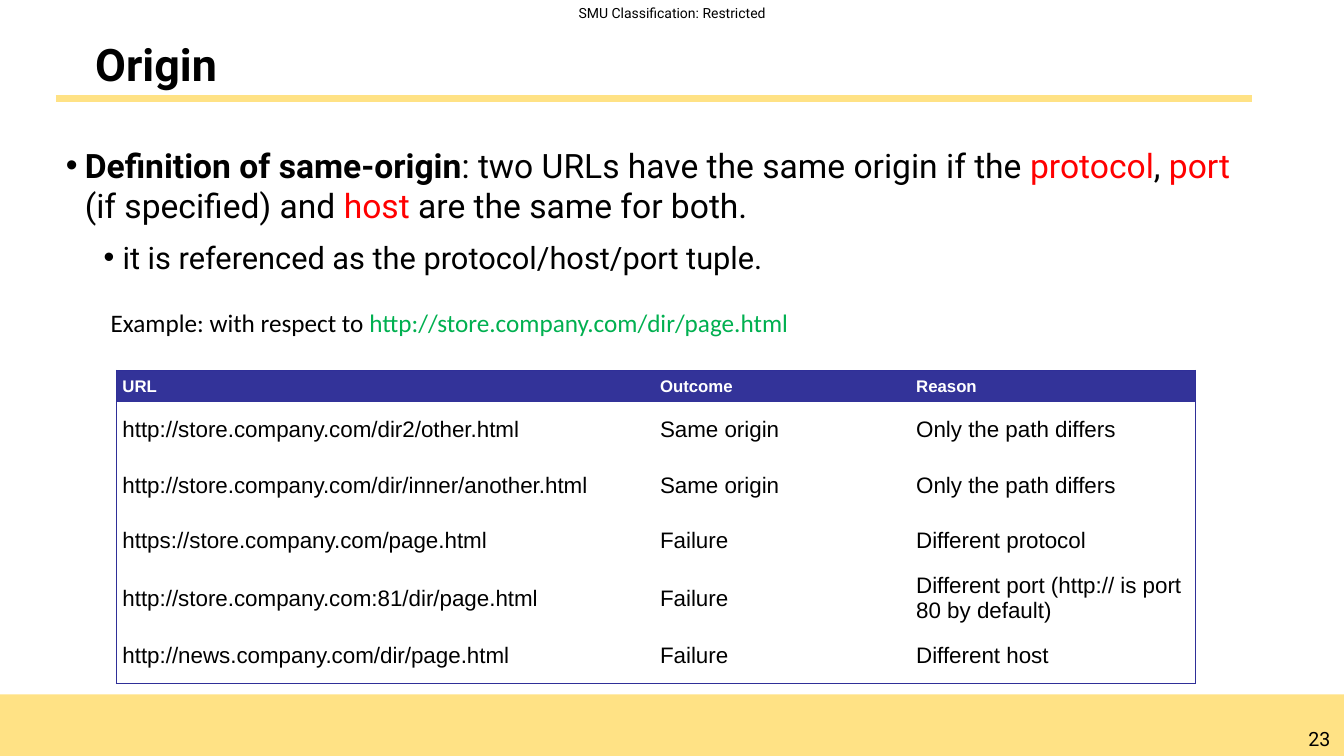
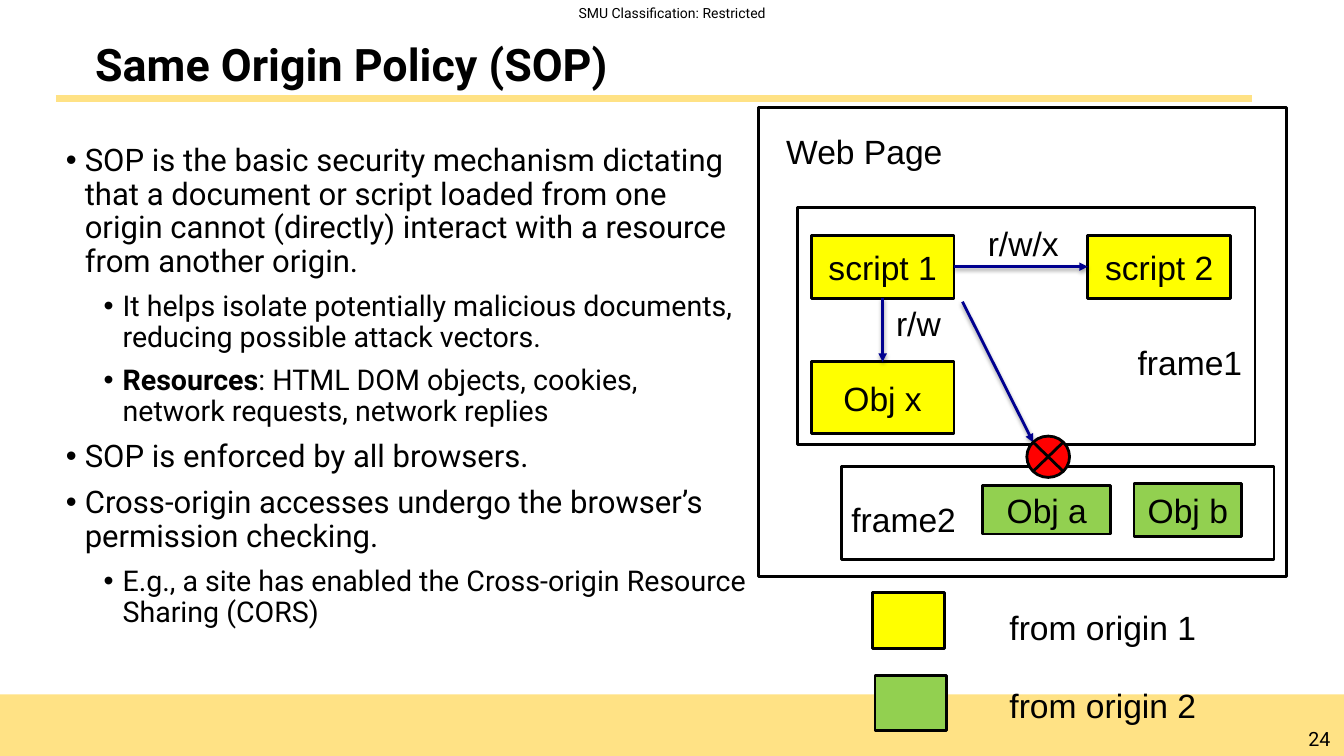
from dataclasses import dataclass

from lxml.etree import SubElement
from pptx import Presentation
from pptx.dml.color import RGBColor
from pptx.enum.shapes import MSO_CONNECTOR, MSO_SHAPE
from pptx.enum.text import MSO_ANCHOR, PP_ALIGN
from pptx.oxml.ns import qn
from pptx.shapes.autoshape import Shape
from pptx.shapes.connector import Connector
from pptx.slide import Slide
from pptx.table import _Cell
from pptx.text.text import TextFrame, _Paragraph
from pptx.util import Pt

COLORS = {
    "band": "FFE285",
    "text": "000000",
    "white": "FFFFFF",
    "emphasis": "FF0000",
    "address": "00B050",
    "table_head": "333399",
    "table_edge": "2F2F98",
    "origin1": "FFFF00",
    "origin2": "92D050",
    "arrow": "000090",
}
HEADING_FONT = "Roboto"
TABLE_FONT = "Arial"
DIAGRAM_FONT = "Arial"
EXAMPLE_FONT = "Calibri"
CONTENT_LEFT, CONTENT_WIDTH = 40, 854
BODY_TOP, BODY_HEIGHT = 100, 372


@dataclass(frozen=True)
class Box:
    left: float
    top: float
    width: float
    height: float


@dataclass(frozen=True)
class Span:
    text: str
    color: str = "text"
    bold: bool = False


@dataclass(frozen=True)
class Bullet:
    spans: tuple[Span, ...]
    level: int = 0


@dataclass(frozen=True)
class Block:
    box: Box
    fill: str | None = None
    text: str = ""
    preset: MSO_SHAPE = MSO_SHAPE.RECTANGLE


@dataclass(frozen=True)
class Label:
    box: Box
    text: str


@dataclass(frozen=True)
class Arrow:
    start: tuple[float, float]
    end: tuple[float, float]


def rgb(name: str) -> RGBColor:
    return RGBColor.from_string(COLORS[name])


def place(box: Box) -> tuple[Pt, Pt, Pt, Pt]:
    return Pt(box.left), Pt(box.top), Pt(box.width), Pt(box.height)


def add_run(paragraph: _Paragraph, span: Span, size: float, font: str) -> None:
    run = paragraph.add_run()
    run.text = span.text
    run.font.size = Pt(size)
    run.font.name = font
    run.font.bold = span.bold
    run.font.color.rgb = rgb(span.color)


def add_text(slide: Slide, box: Box, spans: tuple[Span, ...], size: float, font: str,
             align: PP_ALIGN = PP_ALIGN.LEFT, wrap: bool = True) -> TextFrame:
    frame = slide.shapes.add_textbox(*place(box)).text_frame
    frame.word_wrap = wrap
    frame.paragraphs[0].alignment = align
    for span in spans:
        add_run(frame.paragraphs[0], span, size, font)
    return frame


def add_block(slide: Slide, block: Block, outline: str | None = "text") -> Shape:
    shape = slide.shapes.add_shape(block.preset, *place(block.box))
    shape.shadow.inherit = False
    if block.fill:
        shape.fill.solid()
        shape.fill.fore_color.rgb = rgb(block.fill)
    else:
        shape.fill.background()
    if outline:
        shape.line.color.rgb = rgb(outline)
        shape.line.width = Pt(2)
    else:
        shape.line.fill.background()
    if block.text:
        frame = shape.text_frame
        frame.word_wrap = True
        frame.vertical_anchor = MSO_ANCHOR.MIDDLE
        frame.paragraphs[0].alignment = PP_ALIGN.CENTER
        add_run(frame.paragraphs[0], Span(block.text), 24, DIAGRAM_FONT)
    return shape


def add_line(slide: Slide, start: tuple[float, float], end: tuple[float, float],
             color: str, width: float) -> Connector:
    line = slide.shapes.add_connector(
        MSO_CONNECTOR.STRAIGHT, *(Pt(value) for value in start + end))
    line.line.color.rgb = rgb(color)
    line.line.width = Pt(width)
    SubElement(line._element.spPr, qn("a:effectLst"))
    return line


def add_arrow(slide: Slide, arrow: Arrow) -> None:
    """Draw a line with a triangle at its end and a soft shadow below it."""
    properties = add_line(slide, arrow.start, arrow.end, "arrow", 2)._element.spPr
    SubElement(properties.find(qn("a:ln")), qn("a:tailEnd"), type="triangle")
    shadow = SubElement(properties.find(qn("a:effectLst")), qn("a:outerShdw"),
                        blurRad=str(Pt(3.1)), dist=str(Pt(1.6)),
                        dir="5400000", rotWithShape="0")
    tint = SubElement(shadow, qn("a:srgbClr"), val=COLORS["text"])
    SubElement(tint, qn("a:alpha"), val="38000")


def add_bullets(slide: Slide, width: float, bullets: tuple[Bullet, ...],
                sizes: tuple[float, float], line_spacing: float) -> None:
    box = Box(CONTENT_LEFT, BODY_TOP, width, BODY_HEIGHT)
    frame = slide.shapes.add_textbox(*place(box)).text_frame
    frame.word_wrap = True
    for index, bullet in enumerate(bullets):
        paragraph = frame.add_paragraph() if index else frame.paragraphs[0]
        paragraph.level = bullet.level
        properties = paragraph._p.get_or_add_pPr()
        properties.set("marL", str(Pt(13.5 + 27 * bullet.level)))
        properties.set("indent", str(-Pt(13.5)))
        SubElement(properties, qn("a:buFont"), typeface="Arial")
        SubElement(properties, qn("a:buChar"), char="•")
        paragraph.line_spacing = line_spacing
        paragraph.space_before = Pt(4.5 if index else 0)
        paragraph.space_after = Pt(4.5)
        for span in bullet.spans:
            add_run(paragraph, span, sizes[bullet.level], HEADING_FONT)


def start_slide(deck: Presentation, title: str, number: int) -> Slide:
    """Add a slide with the shared band, classification, number and title."""
    slide = deck.slides.add_slide(deck.slide_layouts[6])
    add_block(slide, Block(Box(0, 496, 960, 44), "band"), outline=None)
    add_text(slide, Box(373, 0, 214, 19.5), (Span("SMU Classification: Restricted"),),
             10, HEADING_FONT, PP_ALIGN.CENTER)
    add_text(slide, Box(925, 515.5, 35, 24.5), (Span(str(number)),),
             14, HEADING_FONT, PP_ALIGN.CENTER)
    rule_y = 70.5
    add_line(slide, (CONTENT_LEFT, rule_y), (CONTENT_LEFT + CONTENT_WIDTH, rule_y),
             "band", 4.75)
    heading = add_text(slide, Box(CONTENT_LEFT, 24.5, CONTENT_WIDTH, 46),
                       (Span(title, bold=True),), 32, HEADING_FONT)
    heading.margin_left = heading.margin_right = Pt(28)
    heading.vertical_anchor = MSO_ANCHOR.MIDDLE
    heading.paragraphs[0].line_spacing = 0.9
    return slide


def set_borders(cell: _Cell, edges: dict[str, bool]) -> None:
    """Draw the edges marked true and clear the others."""
    properties = cell._tc.get_or_add_tcPr()
    for position, (side, visible) in enumerate(edges.items()):
        line = SubElement(properties, qn(f"a:{side}"), w=str(Pt(0.75)))
        properties.remove(line)
        properties.insert(position, line)
        if visible:
            fill = SubElement(line, qn("a:solidFill"))
            SubElement(fill, qn("a:srgbClr"), val=COLORS["table_edge"])
        else:
            SubElement(line, qn("a:noFill"))


def add_outcome_table(slide: Slide, rows: tuple[tuple[str, ...], ...]) -> None:
    widths = (384, 183, 204)
    heights = (23,) + (39.5,) * (len(rows) - 1)
    box = Box(83, 264.5, sum(widths), sum(heights))
    table = slide.shapes.add_table(len(rows), len(widths), *place(box)).table
    table.first_row = table.horz_banding = False
    for column, width in zip(table.columns, widths):
        column.width = Pt(width)
    for row, height in zip(table.rows, heights):
        row.height = Pt(height)
    for r, texts in enumerate(rows):
        head = r == 0
        for c, text in enumerate(texts):
            cell = table.cell(r, c)
            cell.vertical_anchor = MSO_ANCHOR.MIDDLE
            cell.margin_left = cell.margin_right = Pt(4.5)
            cell.margin_top = cell.margin_bottom = Pt(2.25)
            if head:
                cell.fill.solid()
                cell.fill.fore_color.rgb = rgb("table_head")
            else:
                cell.fill.background()
            set_borders(cell, {"lnL": c == 0, "lnR": c == len(widths) - 1,
                               "lnT": head, "lnB": r == len(rows) - 1})
            add_run(cell.text_frame.paragraphs[0],
                    Span(text, "white" if head else "text", head),
                    12 if head else 16, TABLE_FONT)


def build_origin(deck: Presentation) -> None:
    slide = start_slide(deck, "Origin", 23)
    add_bullets(slide, CONTENT_WIDTH, (
        Bullet((Span("Definition of same-origin", bold=True),
                Span(": two URLs have the same origin if the "),
                Span("protocol", "emphasis"), Span(", "), Span("port", "emphasis"),
                Span(" (if specified) and "), Span("host", "emphasis"),
                Span(" are the same for both."))),
        Bullet((Span("it is referenced as the protocol/host/port tuple."),), 1),
    ), sizes=(24, 22), line_spacing=1)
    add_text(slide, Box(72, 216, 703, 36),
             (Span("Example: with respect to "),
              Span("http://store.company.com/dir/page.html", "address")),
             18, EXAMPLE_FONT)
    add_outcome_table(slide, (
        ("URL", "Outcome", "Reason"),
        ("http://store.company.com/dir2/other.html", "Same origin",
         "Only the path differs"),
        ("http://store.company.com/dir/inner/another.html", "Same origin",
         "Only the path differs"),
        ("https://store.company.com/page.html", "Failure", "Different protocol"),
        ("http://store.company.com:81/dir/page.html", "Failure",
         "Different port (http:// is port 80 by default)"),
        ("http://news.company.com/dir/page.html", "Failure", "Different host"),
    ))


def build_policy(deck: Presentation) -> None:
    slide = start_slide(deck, "Same Origin Policy (SOP)", 24)
    add_bullets(slide, 500.5, (
        Bullet((Span("SOP is the basic security mechanism dictating that a document or "
                     "script loaded from one origin cannot (directly) interact with a "
                     "resource from another origin."),)),
        Bullet((Span("It helps isolate potentially malicious documents, reducing "
                     "possible attack vectors."),), 1),
        Bullet((Span("Resources", bold=True),
                Span(": HTML DOM objects, cookies, network requests, network replies")), 1),
        Bullet((Span("SOP is enforced by all browsers."),)),
        Bullet((Span("Cross-origin accesses undergo the browser’s permission checking."),)),
        Bullet((Span("E.g., a site has enabled the Cross-origin Resource Sharing (CORS)"),), 1),
    ), sizes=(22.2, 20.4), line_spacing=0.9)

    web_page = Block(Box(542, 77, 377, 335), "white")
    frames = (Block(Box(569.5, 148.5, 327, 169)), Block(Box(601, 333.5, 309, 66)))
    objects = (
        Block(Box(579.5, 168, 102, 45), "origin1", "script 1"),
        Block(Box(777, 168, 102, 45), "origin1", "script 2"),
        Block(Box(579.5, 258.5, 102, 51), "origin1", "Obj x"),
        Block(Box(810, 345.5, 77, 37.5), "origin2", "Obj b"),
        Block(Box(702, 347, 91.5, 34.5), "origin2", "Obj a"),
    )
    legend = (Block(Box(623.5, 423.5, 51, 39.5), "origin1"),
              Block(Box(625, 482.5, 51, 39.5), "origin2"))
    for block in (web_page, *frames, *objects, *legend):
        add_block(slide, block)

    for arrow in (Arrow((681.5, 190.5), (777, 190.5)),
                  Arrow((630.5, 213), (630.5, 258.5)),
                  Arrow((687.5, 215.5), (738, 316))):
        add_arrow(slide, arrow)

    for label in (Label(Box(554.5, 90, 127.5, 36), "Web Page"),
                  Label(Box(714, 430, 149, 36), "from origin 1"),
                  Label(Box(714, 486, 149, 36), "from origin 2"),
                  Label(Box(698.5, 155.5, 65.5, 36), "r/w/x"),
                  Label(Box(633, 213, 47, 36), "r/w"),
                  Label(Box(805.5, 240.5, 90, 36), "frame1"),
                  Label(Box(601, 352.5, 90, 36), "frame2")):
        add_text(slide, label.box, (Span(label.text),), 24, DIAGRAM_FONT, wrap=False)

    add_block(slide, Block(Box(733.5, 311.5, 30.5, 29.5), "emphasis",
                           preset=MSO_SHAPE.FLOWCHART_SUMMING_JUNCTION))


def main() -> None:
    deck = Presentation()
    deck.slide_width, deck.slide_height = Pt(960), Pt(540)
    build_origin(deck)
    build_policy(deck)
    deck.save("out.pptx")


if __name__ == "__main__":
    main()
